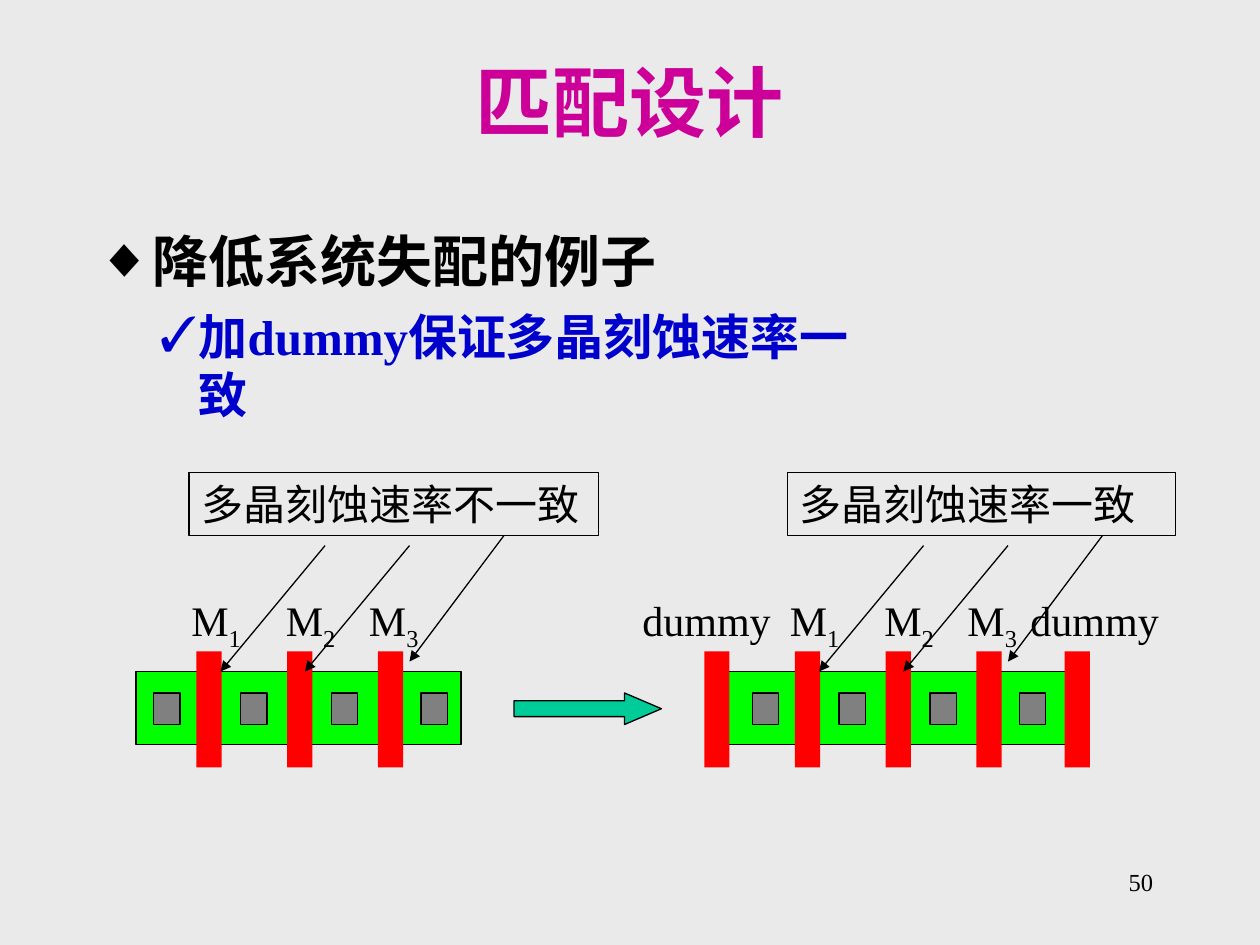
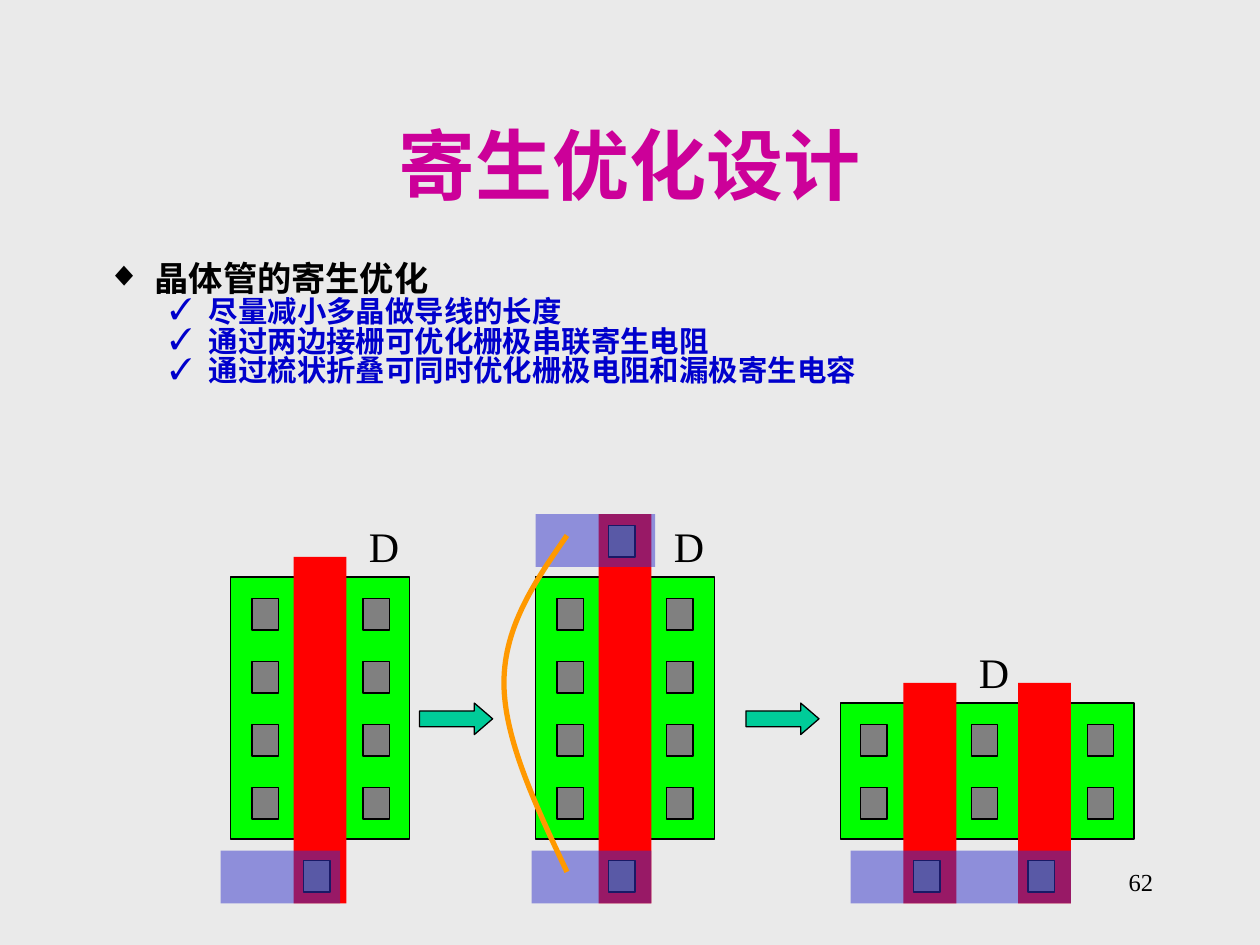
from lxml import etree
from pptx import Presentation
from pptx.dml.color import RGBColor
from pptx.enum.shapes import MSO_CONNECTOR, MSO_SHAPE
from pptx.enum.text import MSO_ANCHOR, PP_ALIGN
from pptx.oxml.ns import qn
from pptx.util import Inches, Pt

FONT = "Times New Roman"
BACKGROUND = RGBColor(0xEA, 0xEA, 0xEA)
BLACK = RGBColor(0, 0, 0)
MAGENTA = RGBColor(0xCC, 0x00, 0x99)
BLUE = RGBColor(0x00, 0x00, 0xCC)
DIFFUSION = RGBColor(0x00, 0xFF, 0x00)
POLY = RGBColor(0xFF, 0x00, 0x00)
CONTACT = RGBColor(0x80, 0x80, 0x80)
METAL = RGBColor(0x33, 0x33, 0xCC)
TEAL = RGBColor(0x00, 0xCC, 0x99)
ORANGE = RGBColor(0xFF, 0x99, 0x00)

BULLETS = [("◆", 0.38, 0.38, BLACK), ("✓", 0.81, 0.31, BLUE)]


def format_run(r, size, color=BLACK, bold=False):
    """Give a run its font, size and colour."""
    r.font.name = FONT
    r.font.size = Pt(size)
    r.font.bold = bold
    r.font.color.rgb = color


def add_text(slide, box, text, size, color=BLACK, bold=False,
             align=PP_ALIGN.LEFT, anchor=MSO_ANCHOR.TOP):
    """Add a one-paragraph text box."""
    sp = slide.shapes.add_textbox(*map(Inches, box))
    tf = sp.text_frame
    tf.word_wrap = True
    tf.vertical_anchor = anchor
    tf.text = text
    p = tf.paragraphs[0]
    p.alignment = align
    format_run(p.runs[0], size, color, bold)
    return sp


def add_slide(prs, title, title_top, number):
    """Add a slide with its background, page number and title."""
    slide = prs.slides.add_slide(prs.slide_layouts[6])
    slide.background.fill.solid()
    slide.background.fill.fore_color.rgb = BACKGROUND
    add_text(slide, (7.17, 6.83, 2.08, 0.5), number, 14, align=PP_ALIGN.RIGHT)
    add_text(slide, (0.75, title_top, 8.5, 1.25), title, 44, MAGENTA, True,
             PP_ALIGN.CENTER, MSO_ANCHOR.MIDDLE)
    return slide


def set_bullet(p, level):
    """Set the hanging indent and bullet of a paragraph."""
    char, margin, hang, color = BULLETS[level]
    pPr = p._p.get_or_add_pPr()
    pPr.set("marL", str(Inches(margin)))
    pPr.set("indent", str(-Inches(hang)))
    buClr = etree.SubElement(pPr, qn("a:buClr"))
    etree.SubElement(buClr, qn("a:srgbClr")).set("val", str(color))
    etree.SubElement(pPr, qn("a:buFont")).set("typeface", FONT)
    etree.SubElement(pPr, qn("a:buChar")).set("char", char)


def add_body(slide, box, lines, sizes, gap, spacing=1.0):
    """Add a bulleted list: a heading, then its points."""
    tf = slide.shapes.add_textbox(*map(Inches, box)).text_frame
    tf.word_wrap = True
    for i, line in enumerate(lines):
        p = tf.add_paragraph() if i else tf.paragraphs[0]
        level = min(i, 1)
        p.text = line
        set_bullet(p, level)
        p.line_spacing = spacing
        p.space_before = Pt(gap if i else 0)
        format_run(p.runs[0], sizes[level], BULLETS[level][3], True)


def add_block(slide, box, fill, outlined=False, kind=MSO_SHAPE.RECTANGLE):
    """Add a filled shape, outlined in black on request."""
    sp = slide.shapes.add_shape(kind, *map(Inches, box))
    sp.shadow.inherit = False
    sp.fill.solid()
    sp.fill.fore_color.rgb = fill
    if outlined:
        sp.line.color.rgb = BLACK
        sp.line.width = Pt(0.75)
    else:
        sp.line.fill.background()
    return sp


def add_contact(slide, x, y):
    """Add a contact hole."""
    add_block(slide, (x, y, 0.21, 0.25), CONTACT, True)


def add_metal(slide, x, y, width):
    """Add a half-transparent metal strap."""
    sp = add_block(slide, (x, y, width, 0.42), METAL)
    clr = sp._element.spPr.find(qn("a:solidFill"))[0]
    etree.SubElement(clr, qn("a:alpha")).set("val", "50000")


def add_block_arrow(slide, x, y, width):
    """Add a teal arrow whose head is a quarter of its length."""
    height = 0.25
    sp = add_block(slide, (x, y, width, height), TEAL, True, MSO_SHAPE.RIGHT_ARROW)
    sp.adjustments[1] = width / height / 4


def add_pointer(slide, x1, y1, x2, y2):
    """Add a thin line with an arrowhead at its end."""
    line = slide.shapes.add_connector(
        MSO_CONNECTOR.STRAIGHT, *map(Inches, (x1, y1, x2, y2)))
    line.line.color.rgb = BLACK
    line.line.width = Pt(0.75)
    etree.SubElement(line.line._get_or_add_ln(), qn("a:tailEnd")).set("type", "triangle")
    etree.SubElement(line._element.spPr, qn("a:effectLst"))


def add_curve(slide, start, controls):
    """Add an orange Bezier wire; every three controls make one segment."""
    builder = slide.shapes.build_freeform(*map(Inches, start), scale=1.0)
    builder.add_line_segments([(Inches(x), Inches(y)) for x, y in controls], close=False)
    sp = builder.convert_to_shape()
    sp.shadow.inherit = False
    sp.fill.background()
    sp.line.color.rgb = ORANGE
    sp.line.width = Pt(3)
    steps = list(sp._element.iter(qn("a:lnTo")))
    outline = steps[0].getparent()
    for i in range(0, len(steps), 3):
        bezier = etree.SubElement(outline, qn("a:cubicBezTo"))
        for step in steps[i:i + 3]:
            bezier.append(step[0])
            outline.remove(step)


def add_gate_label(slide, x, index):
    """Add a transistor name with a subscript index."""
    sp = add_text(slide, (x, 4.67, 0.75, 0.56), "M", 24)
    r = sp.text_frame.paragraphs[0].add_run()
    r.text = str(index)
    format_run(r, 24)
    r.font._element.set("baseline", "-25000")


def add_matched_row(slide, dx, diffusion, note, note_width, dummies=()):
    """Add a row of three transistors with its note, shifted right by dx."""
    left, width = diffusion
    add_block(slide, (left, 5.33, width, 0.58), DIFFUSION, True)
    for x in [dx + 1.56 + 0.72 * i for i in range(3)] + list(dummies):
        add_block(slide, (x, 5.17, 0.2, 0.92), POLY)
    for x in (1.22, 1.91, 2.63, 3.34):
        add_contact(slide, dx + x, 5.5)
    for i, x in enumerate((1.42, 2.17, 2.83), 1):
        add_gate_label(slide, dx + x, i)
    sp = add_text(slide, (dx + 1.5, 3.75, note_width, 0.5), note, 24)
    sp.line.color.rgb = BLACK
    sp.line.width = Pt(0.75)
    for x1, y1, x2, y2 in ((2.58, 4.33, 1.75, 5.33), (3.25, 4.33, 2.42, 5.33),
                           (4, 4.25, 3.25, 5.25)):
        add_pointer(slide, dx + x1, y1, dx + x2, y2)


def add_transistor(slide, left, width, rows, gates, gate_top, contacts):
    """Add a diffusion area with its poly gates and contact columns."""
    top = 6.58 - 0.5 * rows
    add_block(slide, (left, top, width, 6.66 - top), DIFFUSION, True)
    for x in gates:
        add_block(slide, (x, gate_top, 0.42, 7.17 - gate_top), POLY)
        add_contact(slide, x + 0.08, 6.83)
    for x in contacts:
        for row in range(rows):
            add_contact(slide, x, 6.25 - 0.5 * row)


def build_matching(prs):
    """Build the slide on matched layout."""
    slide = add_slide(prs, "匹配设计", 0.17, "50")
    add_body(slide, (0.67, 1.75, 6.5, 4.5),
             ["降低系统失配的例子", "加dummy保证多晶刻蚀速率一致"], (32, 28), 7)
    add_matched_row(slide, 0, (1.08, 2.58), "多晶刻蚀速率不一致", 3.25)
    add_matched_row(slide, 4.75, (5.67, 2.92), "多晶刻蚀速率一致", 3.08, (5.59, 8.45))
    for x in (5, 8.08):
        add_text(slide, (x, 4.67, 1.42, 0.5), "dummy", 24)
    add_block_arrow(slide, 4.08, 5.5, 1.17)


def build_parasitics(prs):
    """Build the slide on parasitic optimisation."""
    slide = add_slide(prs, "寄生优化设计", 0.67, "62")
    add_body(slide, (0.75, 2.08, 8.5, 1.17),
             ["晶体管的寄生优化", "尽量减小多晶做导线的长度",
              "通过两边接栅可优化栅极串联寄生电阻",
              "通过梳状折叠可同时优化栅极电阻和漏极寄生电容"],
             (19.6, 16.8), 3, 0.7)
    add_transistor(slide, 1.83, 1.42, 4, [2.33], 4.42, (2, 2.88))
    add_transistor(slide, 4.25, 1.42, 4, [4.75], 4.08, (4.42, 5.29))
    add_contact(slide, 4.83, 4.17)
    add_transistor(slide, 6.67, 2.33, 2, [7.17, 8.08], 5.42, (6.83, 7.71, 8.63))
    for x, y, width in ((1.75, 6.75, 0.95), (4.22, 6.75, 0.95),
                        (4.25, 4.08, 0.95), (6.75, 6.75, 1.75)):
        add_metal(slide, x, y, width)
    add_curve(slide, (4.5, 4.25), [(4.25, 4.61), (4, 4.97), (4, 5.42),
                                   (4, 5.86), (4.25, 6.39), (4.5, 6.92)])
    for x, y in ((2.83, 4.08), (5.25, 4.08), (7.67, 5.08)):
        add_text(slide, (x, y, 0.5, 0.5), "D", 24)
    for x in (3.33, 5.92):
        add_block_arrow(slide, x, 5.58, 0.58)


def main():
    """Build and save the presentation."""
    prs = Presentation()
    prs.slide_width = Inches(10)
    prs.slide_height = Inches(7.5)
    build_matching(prs)
    build_parasitics(prs)
    prs.save("out.pptx")


if __name__ == "__main__":
    main()
